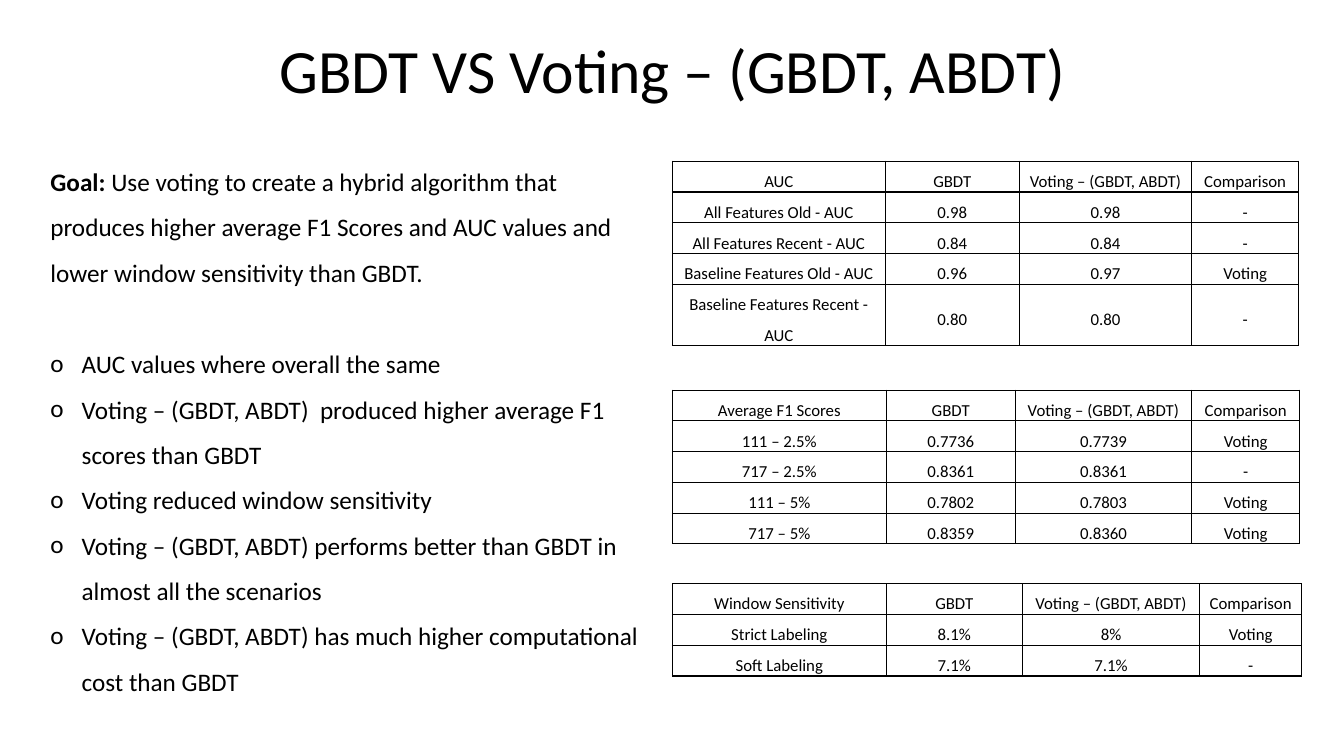
"""Build a slide comparing GBDT with a GBDT and ABDT voting hybrid."""
from lxml import etree
from pptx import Presentation
from pptx import util as u
from pptx.dml.color import RGBColor
from pptx.enum import text
from pptx.oxml import ns

BLACK = RGBColor(0, 0, 0)
FONT = "Calibri"
VOTING = "Voting – (GBDT, ABDT)"
INDENT = u.Inches(0.31)


def write(para, words, size=18, bold=False, spacing=1.5, align=None):
    para.line_spacing = spacing
    para.space_before = u.Pt(0)
    para.alignment = align
    span = para.add_run()
    span.text = words
    span.font.name = FONT
    span.font.size = u.Pt(size)
    span.font.bold = bold
    span.font.color.rgb = BLACK


def add_borders(cell):
    properties = cell._tc.get_or_add_tcPr()
    for position, side in enumerate(("lnL", "lnR", "lnT", "lnB")):
        line = etree.Element(ns.qn(f"a:{side}"), w=str(u.Pt(1)))
        fill = etree.SubElement(line, ns.qn("a:solidFill"))
        etree.SubElement(fill, ns.qn("a:srgbClr"), val=str(BLACK))
        properties.insert(position, line)


deck = Presentation()
deck.slide_width, deck.slide_height = u.Inches(13.33), u.Inches(7.5)
page = deck.slides.add_slide(deck.slide_layouts[1])

title = page.shapes.title
title.left, title.top = u.Inches(0.92), u.Inches(0)
title.width, title.height = u.Inches(11.5), u.Inches(1.45)
title.text_frame.vertical_anchor = text.MSO_ANCHOR.MIDDLE
write(title.text_frame.paragraphs[0], f"GBDT VS {VOTING}", size=44, spacing=0.9,
      align=text.PP_ALIGN.CENTER)

body = page.placeholders[1]
body.left, body.top = u.Inches(0.4), u.Inches(1.45)
body.width, body.height = u.Inches(6.07), u.Inches(5.51)
frame = body.text_frame
frame.word_wrap = True
frame.auto_size = text.MSO_AUTO_SIZE.NONE
goal = frame.paragraphs[0]
settings = goal._p.get_or_add_pPr()
settings.set("marL", "0")
settings.set("indent", "0")
etree.SubElement(settings, ns.qn("a:buNone"))
write(goal, "Goal: ", bold=True)
write(goal, "Use voting to create a hybrid algorithm that produces higher average "
            "F1 Scores and AUC values and lower window sensitivity than GBDT.")

findings = [
    "AUC values where overall the same",
    f"{VOTING}  produced higher average F1 scores than GBDT",
    "Voting reduced window sensitivity",
    f"{VOTING} performs better than GBDT in almost all the scenarios",
    f"{VOTING} has much higher computational cost than GBDT",
]
for finding in findings:
    para = frame.add_paragraph()
    settings = para._p.get_or_add_pPr()
    settings.set("marL", str(INDENT))
    settings.set("indent", str(-INDENT))
    etree.SubElement(settings, ns.qn("a:buFont"), typeface=FONT)
    etree.SubElement(settings, ns.qn("a:buChar"), char="o")
    write(para, finding)
frame.paragraphs[1].space_before = u.Pt(33)

tables = [
    ("AUC", 1.6, (2.11, 1.33, 1.71, 1.06), [
        ("All Features Old - AUC", "0.98", "0.98", "-"),
        ("All Features Recent - AUC", "0.84", "0.84", "-"),
        ("Baseline Features Old - AUC", "0.96", "0.97", "Voting"),
        ("Baseline Features Recent - AUC", "0.80", "0.80", "-"),
    ]),
    ("Average F1 Scores", 3.87, (2.12, 1.28, 1.75, 1.07), [
        ("111 – 2.5%", "0.7736", "0.7739", "Voting"),
        ("717 – 2.5%", "0.8361", "0.8361", "-"),
        ("111 – 5%", "0.7802", "0.7803", "Voting"),
        ("717 – 5%", "0.8359", "0.8360", "Voting"),
    ]),
    ("Window Sensitivity", 5.79, (2.12, 1.35, 1.76, 1.01), [
        ("Strict Labeling", "8.1%", "8%", "Voting"),
        ("Soft Labeling", "7.1%", "7.1%", "-"),
    ]),
]
for measure, top, widths, results in tables:
    rows = [(measure, "GBDT", VOTING, "Comparison"), *results]
    table = page.shapes.add_table(
        len(rows), len(widths), u.Inches(6.67), u.Inches(top),
        u.Inches(sum(widths)), u.Inches(0.3 * len(rows))).table
    table.horz_banding = False
    for column, width in zip(table.columns, widths):
        column.width = u.Inches(width)
    for row, values in zip(table.rows, rows):
        for cell, value in zip(row.cells, values):
            cell.margin_left = cell.margin_right = u.Inches(0.07)
            cell.margin_top = cell.margin_bottom = u.Inches(0)
            cell.vertical_anchor = text.MSO_ANCHOR.MIDDLE
            cell.fill.background()
            add_borders(cell)
            write(cell.text_frame.paragraphs[0], value, size=12,
                  align=text.PP_ALIGN.CENTER)

deck.save("out.pptx")
